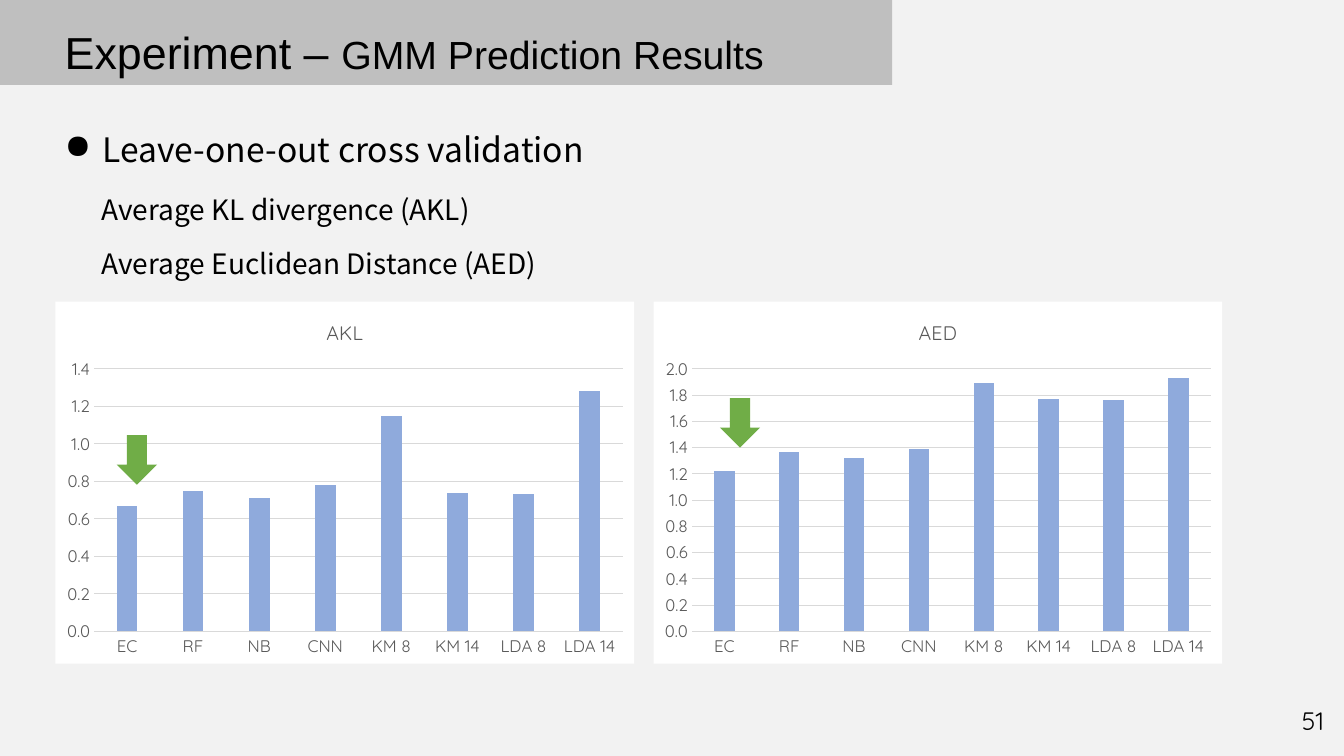
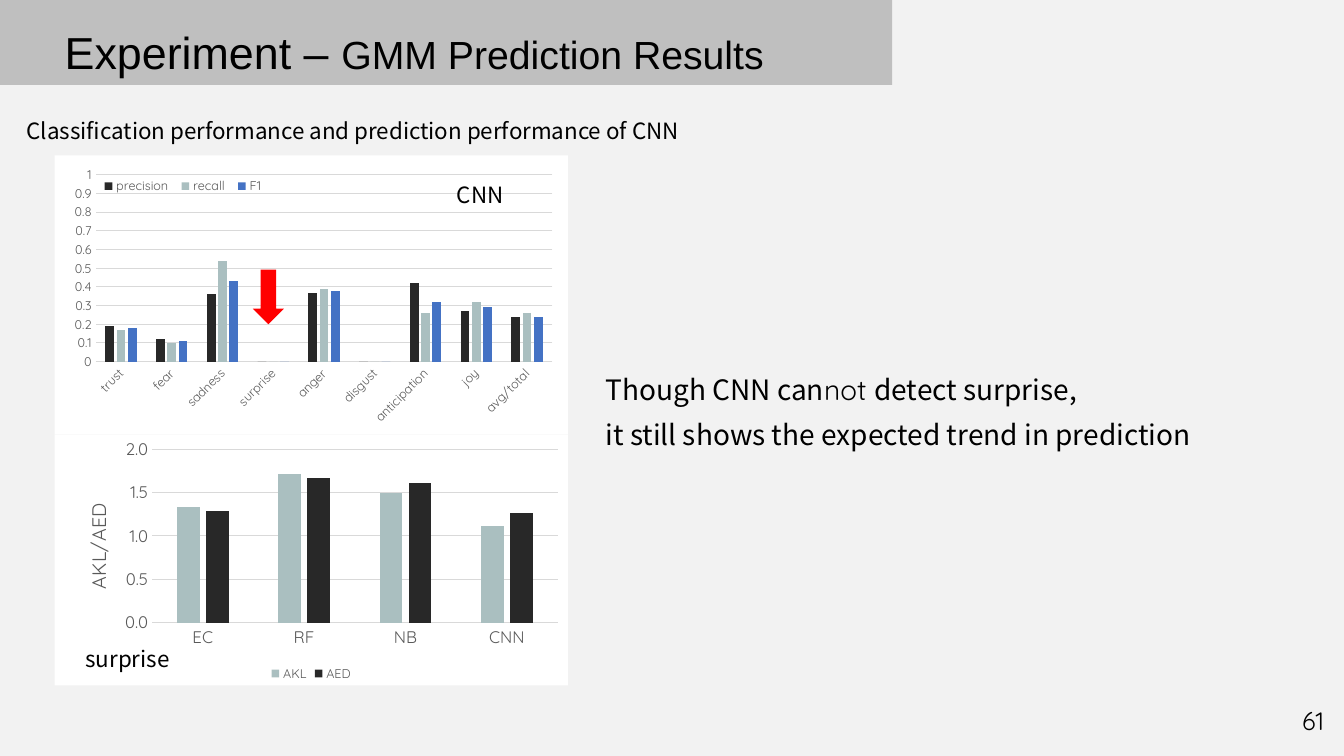
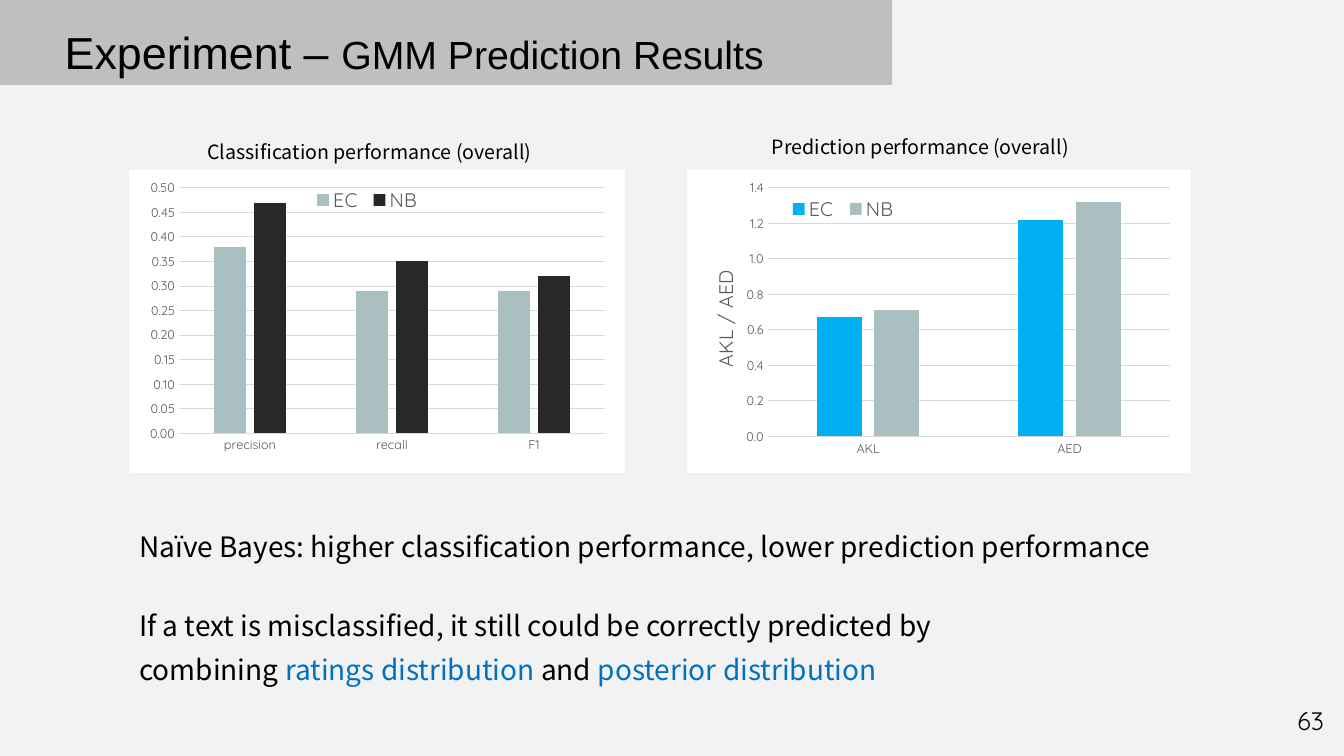
from lxml.etree import SubElement
from pptx import Presentation
from pptx.chart.data import CategoryChartData
from pptx.dml.color import RGBColor
from pptx.enum.chart import XL_CHART_TYPE, XL_LEGEND_POSITION, XL_TICK_MARK
from pptx.enum.shapes import MSO_SHAPE
from pptx.enum.text import MSO_ANCHOR, MSO_AUTO_SIZE, PP_ALIGN
from pptx.oxml import parse_xml
from pptx.oxml.ns import nsdecls, qn
from pptx.util import Inches, Pt

COLORS = {
    "page": "F2F2F2", "band": "BFBFBF", "ink": "000000", "grey": "595959",
    "grid": "D9D9D9", "white": "FFFFFF", "soft": "8FAADC", "dark": "282828",
    "sage": "AABFC0", "blue": "4472C4", "sky": "00B0F0", "link": "0070C0",
    "green": "70AD47", "red": "FF0000",
}
SANS, ROUND, PLAIN = "Noto Sans CJK SC", "Quicksand", "Arial"
WIDE, HIGH = Inches(13.33), Inches(7.5)
COLS, ROWS = 160, 90
TITLE = [("Experiment – ", {"size": 32}), ("GMM Prediction Results", {"size": 28})]


def color(name):
    return RGBColor.from_string(COLORS[name])


def place(spot):
    left, top, width, height = spot
    return (round(left * WIDE / COLS), round(top * HIGH / ROWS),
            round(width * WIDE / COLS), round(height * HIGH / ROWS))


def style(font, size=None, name=None, ink=None):
    if size:
        font.size = Pt(size)
    if name:
        font.name = name
    if ink:
        font.color.rgb = color(ink)


def write(shape, parts, size=None, name=SANS, wrap=True):
    frame = shape.text_frame
    frame.word_wrap = wrap
    frame.auto_size = MSO_AUTO_SIZE.SHAPE_TO_FIT_TEXT
    frame.vertical_anchor = MSO_ANCHOR.TOP
    para = frame.paragraphs[0]
    para.alignment = PP_ALIGN.LEFT
    para.line_spacing = 1.3
    para.space_before = Pt(0)
    for words, looks in parts:
        run = para.add_run()
        run.text = words
        style(run.font, **looks)
    return para


def label(slide, spot, words, size, wrap=True, dot=False):
    parts = [(words, {})] if isinstance(words, str) else words
    para = write(slide.shapes.add_textbox(*place(spot)), parts, wrap=wrap)
    if dot:
        props = para._p.get_or_add_pPr()
        props.set("marL", str(Inches(0.38)))
        props.set("indent", str(-Inches(0.38)))
        SubElement(props, qn("a:buChar"), char="●")
    style(para.font, size, SANS, "ink")


def block(slide, kind, spot, fill):
    shape = slide.shapes.add_shape(kind, *place(spot))
    shape.shadow.inherit = False
    shape.fill.solid()
    shape.fill.fore_color.rgb = color(fill)
    shape.line.fill.background()
    return shape


def arrow(slide, spot, fill):
    block(slide, MSO_SHAPE.DOWN_ARROW, spot, fill)


def start(deck, number):
    slide = deck.slides.add_slide(deck.slide_layouts[5])
    title = slide.shapes.title
    title.left, title.top, title.width, title.height = place((6.5, 0.4, 88.3, 9.6))
    style(write(title, TITLE, wrap=False).font, name=PLAIN, ink="ink")
    band = block(slide, MSO_SHAPE.RECTANGLE, (0, 0, 106.2, 10.1), "band")
    title.element.addprevious(band.element)
    foot = slide.shapes.add_textbox(*place((122.8, 83.4, 36, 4.8))).text_frame
    foot.word_wrap = True
    foot.vertical_anchor = MSO_ANCHOR.MIDDLE
    para = foot.paragraphs[0]
    para.text = str(number)
    para.alignment = PP_ALIGN.RIGHT
    style(para.font, 18, ROUND, "ink")
    return slide


def pin(host, index, box, inner=False):
    for old in host.findall(qn("c:layout")):
        host.remove(old)
    layout = parse_xml(f"<c:layout {nsdecls('c')}><c:manualLayout/></c:layout>")
    manual = layout[0]
    if inner:
        SubElement(manual, qn("c:layoutTarget"), val="inner")
    for axis in "xy":
        SubElement(manual, qn(f"c:{axis}Mode"), val="edge")
    for tag, share in zip("xywh", box):
        SubElement(manual, qn(f"c:{tag}"), val=str(share))
    host.insert(index, layout)


def name(owner, words):
    frame = owner.text_frame
    frame.text = words
    font = frame.paragraphs[0].font
    style(font, 14, ROUND, "grey")
    font.bold = False


def back(chart):
    fill = (f"<c:spPr {nsdecls('c', 'a')}><a:solidFill><a:srgbClr val='{COLORS['white']}'/>"
            "</a:solidFill><a:ln><a:noFill/></a:ln></c:spPr>")
    chart.element.find(qn("c:chart")).addnext(parse_xml(fill))


def axes(chart, top, step, form, size, tilt):
    cat, val = chart.category_axis, chart.value_axis
    for axis in (cat, val):
        axis.major_tick_mark = axis.minor_tick_mark = XL_TICK_MARK.NONE
        style(axis.tick_labels.font, size, ROUND, "grey")
    val.minimum_scale, val.maximum_scale, val.major_unit = 0, top, step
    val.tick_labels.number_format = form
    val.tick_labels.number_format_is_linked = False
    val.format.line.fill.background()
    for line in (cat.format.line, val.major_gridlines.format.line):
        line.color.rgb = color("grid")
        line.width = Pt(0.75)
    if tilt:
        body = cat.tick_labels.font._element.getparent().getparent().getparent()
        body.find(qn("a:bodyPr")).set("rot", str(-tilt * 60000))


def bars(slide, spot, cats, rows, top, step, form="0.0", size=12, head=None,
         side=None, sidebox=None, key=None, keybox=None, plot=None, tilt=0):
    data = CategoryChartData()
    data.categories = cats
    for title, vals, _ in rows:
        data.add_series(title, vals)
    chart = slide.shapes.add_chart(
        XL_CHART_TYPE.COLUMN_CLUSTERED, *place(spot), data).chart
    style(chart.font, 10, ROUND, "ink")
    back(chart)
    axes(chart, top, step, form, size, tilt)
    group = chart.plots[0]
    group.gap_width, group.overlap, group.vary_by_categories = 219, -27, False
    for series, (_, _, fill) in zip(group.series, rows):
        series.format.fill.solid()
        series.format.fill.fore_color.rgb = color(fill)
    chart.has_title = bool(head)
    if head:
        name(chart.chart_title, head)
    if side:
        title = chart.value_axis.axis_title
        name(title, side)
        pin(title.element if hasattr(title, "element") else title._element, 1, sidebox)
    chart.has_legend = bool(key)
    if key:
        legend = chart.legend
        legend.position = XL_LEGEND_POSITION.BOTTOM
        legend.include_in_layout = False
        style(legend.font, key, ROUND, "grey")
        if keybox:
            pin(legend._element, 1, keybox)
    if plot:
        pin(chart.element.find(qn("c:chart")).find(qn("c:plotArea")), 0, plot, True)


def scores(deck):
    slide = start(deck, 51)
    label(slide, (6.5, 13.3, 66.6, 7.6), "Leave-one-out cross validation", 24, False, True)
    lines = (("Average KL divergence (AKL)", 49.6), ("Average Euclidean Distance (AED)", 56.9))
    for row, (words, width) in enumerate(lines):
        label(slide, (10.9, 21.1 + 6.5 * row, width, 6.5), words, 20, False)
    cats = ("EC", "RF", "NB", "CNN", "KM 8", "KM 14", "LDA 8", "LDA 14")
    panels = (
        ("AKL", 6.6, 68.9, 1.4, (0.67, 0.75, 0.71, 0.78, 1.15, 0.74, 0.73, 1.28), (13.9, 51.8)),
        ("AED", 77.8, 67.7, 2, (1.22, 1.37, 1.32, 1.39, 1.89, 1.77, 1.76, 1.93), (85.7, 47.4)),
    )
    for head, left, width, top, vals, tip in panels:
        bars(slide, (left, 35.9, width, 43.1), cats, [(head, vals, "soft")], top, 0.2, head=head)
        arrow(slide, (*tip, 4.8, 5.9), "green")


def trend(deck):
    slide = start(deck, 61)
    bars(slide, (6.5, 18.5, 61.1, 33.2),
         ("trust", "fear", "sadness", "surprise", "anger", "disgust",
          "anticipation", "joy", "avg/total"),
         [("precision", (0.19, 0.12, 0.36, 0, 0.37, 0, 0.42, 0.27, 0.24), "dark"),
          ("recall", (0.17, 0.1, 0.54, 0, 0.39, 0, 0.26, 0.32, 0.26), "sage"),
          ("F1", (0.18, 0.11, 0.43, 0, 0.38, 0, 0.32, 0.29, 0.24), "blue")],
         1, 0.1, "General", 9, key=9, keybox=(0.08, 0.07, 0.34, 0.08),
         plot=(0.08, 0.07, 0.89, 0.67), tilt=45)
    bars(slide, (6.5, 51.7, 61.1, 29.9), ("EC", "RF", "NB", "CNN"),
         [("AKL", (1.33, 1.72, 1.49, 1.12), "sage"),
          ("AED", (1.29, 1.67, 1.61, 1.26), "dark")],
         2, 0.5, side="AKL/AED", sidebox=(0.05, 0.26), key=9,
         plot=(0.19, 0.06, 0.79, 0.69))
    label(slide, (53.2, 20, 12.6, 5.4), "CNN", 16)
    arrow(slide, (30.1, 32.1, 3.7, 6.5), "red")
    label(slide, (9, 75.2, 12.6, 5.4), "surprise", 16)
    lines = (
        [("Though CNN can", {}), ("not ", {"name": ROUND}), ("detect surprise,", {})],
        "it still shows the expected trend in prediction",
    )
    for row, words in enumerate(lines):
        label(slide, (70.9, 42.5 + 5.4 * row, 75, 6.5), words, 20)
    label(slide, (2, 12.4, 83.9, 5.4),
          "Classification performance and prediction performance of CNN", 16, False)


def overall(deck):
    slide = start(deck, 63)
    bars(slide, (15.4, 20.2, 59, 36.1), ("precision", "recall", "F1"),
         [("EC", (0.38, 0.29, 0.29), "sage"), ("NB", (0.47, 0.35, 0.32), "dark")],
         0.5, 0.05, "0.00", 9, key=14, keybox=(0.36, 0.05, 0.24, 0.1),
         plot=(0.1, 0.06, 0.86, 0.81))
    bars(slide, (81.8, 20.2, 59.9, 36.1), ("AKL", "AED"),
         [("EC", (0.67, 1.22), "sky"), ("NB", (0.71, 1.32), "sage")],
         1.4, 0.2, size=9, side="AKL / AED", sidebox=(0.04, 0.32), key=14,
         keybox=(0.19, 0.08, 0.24, 0.1), plot=(0.16, 0.06, 0.8, 0.82))
    label(slide, (23.5, 15.2, 42.1, 4.9), "Classification performance (overall)", 14, False)
    label(slide, (90.7, 14.6, 38.9, 4.9), "Prediction performance (overall)", 14, False)
    label(slide, (15.4, 61.2, 129.1, 6.5),
          "Naïve Bayes: higher classification performance, lower prediction performance", 20)
    label(slide, (15.4, 70.7, 113, 11.8), [
        ("If a text is misclassified, it still could be correctly predicted by combining ", {}),
        ("ratings distribution ", {"ink": "link"}),
        ("and ", {}),
        ("posterior distribution", {"ink": "link"}),
    ], 20)


def main():
    deck = Presentation()
    deck.slide_width, deck.slide_height = WIDE, HIGH
    fill = deck.slide_master.background.fill
    fill.solid()
    fill.fore_color.rgb = color("page")
    for build in (scores, trend, overall):
        build(deck)
    deck.save("out.pptx")


if __name__ == "__main__":
    main()
